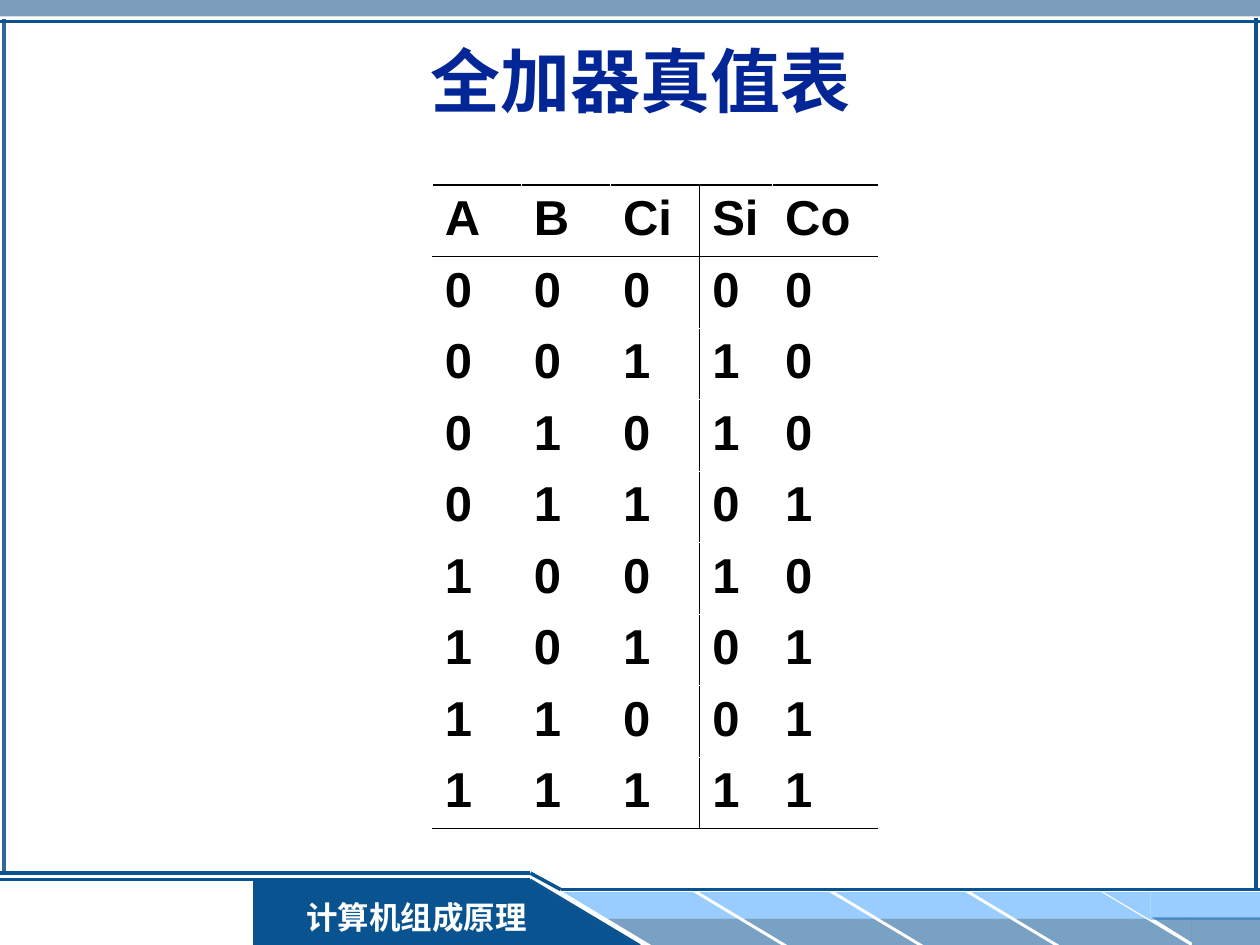
import dataclasses
import itertools

import lxml.etree
import pptx
import pptx.dml.color
import pptx.enum.shapes
import pptx.enum.text
import pptx.oxml.ns
import pptx.util

Inches = pptx.util.Inches
Pt = pptx.util.Pt
qn = pptx.oxml.ns.qn
SHAPE = pptx.enum.shapes.MSO_SHAPE
ALIGN = pptx.enum.text.PP_ALIGN
ANCHOR = pptx.enum.text.MSO_ANCHOR


@dataclasses.dataclass(frozen=True)
class Theme:
    steel: str = "336699"
    navy: str = "095391"
    sky: str = "99CCFF"
    title: str = "032697"
    white: str = "FFFFFF"
    black: str = "000000"
    heading_font: str = "Arial"
    course_font: str = "Times New Roman"
    title_size: int = 40
    table_size: int = 28
    course_size: int = 18
    frame_line: float = 2
    table_rule: float = 1.08
    table_hairline: float = 0.45


THEME = Theme()


def rgb(color):
    return pptx.dml.color.RGBColor.from_string(color)


def write_text(frame, text, *, size, font, color, align=ALIGN.LEFT,
               anchor=ANCHOR.TOP, space_before=0):
    frame.word_wrap = True
    frame.vertical_anchor = anchor
    paragraph = frame.paragraphs[0]
    paragraph.alignment = align
    paragraph.space_before = Pt(space_before)
    run = paragraph.add_run()
    run.text = text
    run.font.size = Pt(size)
    run.font.name = font
    run.font.bold = True
    run.font.color.rgb = rgb(color)


def add_block(slide, preset, left, top, width, height, color, opacity=100):
    block = slide.shapes.add_shape(
        preset, Inches(left), Inches(top), Inches(width), Inches(height))
    block.shadow.inherit = False
    block.line.fill.background()
    block.fill.solid()
    block.fill.fore_color.rgb = rgb(color)
    if opacity < 100:
        tint = block.fill._xPr.find(".//" + qn("a:srgbClr"))
        lxml.etree.SubElement(tint, qn("a:alpha"), val=str(opacity * 1000))
    return block


def add_rule(slide, start, end, color=THEME.navy, width=THEME.frame_line):
    rule = slide.shapes.add_connector(
        pptx.enum.shapes.MSO_CONNECTOR.STRAIGHT,
        *(Inches(value) for value in (*start, *end)))
    rule.line.color.rgb = rgb(color)
    rule.line.width = Pt(width)
    lxml.etree.SubElement(rule._element.spPr, qn("a:effectLst"))


def add_frame(slide, left, top, width, height):
    """Draw the top band and the rules at the top and both sides."""
    right = left + width
    add_block(slide, SHAPE.RECTANGLE, left, top, width, 0.13, THEME.steel, 63)
    add_rule(slide, (left + 0.03, top + 0.15), (left + 0.03, top + height - 0.14),
             THEME.steel)
    add_rule(slide, (left, top + 0.17), (right, top + 0.17))
    add_rule(slide, (right - 0.03, top + 0.14), (right - 0.03, top + height))


def add_slanted_tiles(slide, left, top):
    """Draw two rows of tiles that lean along the slope of the course tab."""
    pitch, width, height, slant = 1.08, 1.38, 0.21, 0.35
    rows = ((THEME.sky, 100), (THEME.navy, 54))
    for column, (row, (color, opacity)) in itertools.product(
            range(4), enumerate(rows)):
        tile = add_block(slide, SHAPE.PARALLELOGRAM,
                         left + column * pitch + row * slant,
                         top + row * height, width, height, color, opacity)
        tile.adjustments[0] = slant / height
        tile._element.spPr.xfrm.set("flipH", "1")


def add_footer(slide, left, top, width, height, course):
    right, bottom = left + width, top + height
    shelf, tab_top = top + 0.13, top + 0.05
    slope_start, slope_end = left + 4.21, left + 4.45

    add_block(slide, SHAPE.RECTANGLE, left + 2.01, tab_top, 2.2, 0.52, THEME.navy)
    add_rule(slide, (left + 5.08, bottom), (slope_start, tab_top), width=1)
    add_rule(slide, (slope_start, tab_top), (left, tab_top), width=1.5)
    add_rule(slide, (left, top), (slope_start, top))

    add_slanted_tiles(slide, left + 4.47, top + 0.15)
    for offset, drop, triangle, rise, color, opacity in (
            (9.13, 0.15, 0.37, 0.22, THEME.sky, 100),
            (9.46, 0.35, 0.32, 0.2, THEME.navy, 54)):
        edge = left + offset
        add_block(slide, SHAPE.RECTANGLE, edge, top + drop, right - edge, 0.22,
                  color, opacity)
        corner = add_block(slide, SHAPE.RIGHT_TRIANGLE, edge - triangle,
                           top + drop, triangle, rise, color, opacity)
        corner.rotation = 180

    add_rule(slide, (slope_end, shelf), (right, shelf))
    label = add_block(slide, SHAPE.RECTANGLE, left + 2.28, top + 0.15, 2.05, 0.4,
                      THEME.navy)
    write_text(label.text_frame, course, size=THEME.course_size,
               font=THEME.course_font, color=THEME.white, align=ALIGN.CENTER,
               space_before=11.2)
    add_block(slide, SHAPE.RIGHT_TRIANGLE, left + 4.2, tab_top, 0.87, 0.52,
              THEME.navy)
    add_rule(slide, (slope_start, top), (slope_end, shelf))


def add_title(slide, left, top, width, height, text):
    title = slide.shapes.add_textbox(
        Inches(left), Inches(top), Inches(width), Inches(height))
    write_text(title.text_frame, text, size=THEME.title_size,
               font=THEME.heading_font, color=THEME.title, align=ALIGN.CENTER,
               anchor=ANCHOR.MIDDLE)


def set_border(cell, side, color, width):
    edge = lxml.etree.SubElement(
        cell._tc.get_or_add_tcPr(), qn(f"a:ln{side}"), w=str(Pt(width)))
    fill = lxml.etree.SubElement(edge, qn("a:solidFill"))
    lxml.etree.SubElement(fill, qn("a:srgbClr"), val=color)


def full_adder_rows():
    yield "A", "B", "Ci", "Si", "Co"
    for bits in itertools.product((0, 1), repeat=3):
        carry, total = divmod(sum(bits), 2)
        yield *bits, total, carry


def add_truth_table(slide, left, top, width, height):
    rows = list(full_adder_rows())
    shares = (0.71, 0.71, 0.71, 0.58, 0.84)
    last_input, last_row = 2, len(rows) - 1
    table = slide.shapes.add_table(
        len(rows), len(shares), Inches(left), Inches(top),
        Inches(width), Inches(height)).table
    table.first_row = table.horz_banding = False
    for column, share in zip(table.columns, shares):
        column.width = Inches(width * share / sum(shares))

    plain = (THEME.white, THEME.table_hairline)
    thin = (THEME.black, THEME.table_hairline)
    thick = (THEME.black, THEME.table_rule)
    for r, row in enumerate(rows):
        for c, value in enumerate(row):
            cell = table.cell(r, c)
            write_text(cell.text_frame, str(value), size=THEME.table_size,
                       font=THEME.heading_font, color=THEME.black,
                       space_before=7)
            set_border(cell, "L", *(thin if c == last_input + 1 else plain))
            set_border(cell, "R", *(thin if c == last_input else plain))
            set_border(cell, "T", *{0: thick, 1: thin}.get(r, plain))
            set_border(cell, "B", *{0: thin, last_row: thick}.get(r, plain))
            cell.fill.background()


def main():
    deck = pptx.Presentation()
    deck.slide_width, deck.slide_height = Inches(10), Inches(7.5)
    slide = deck.slides.add_slide(deck.slide_layouts[6])
    add_frame(slide, 0, 0, 10, 7.07)
    add_footer(slide, 0, 6.93, 10, 0.57, "计算机组成原理")
    add_title(slide, 0.35, 0.28, 9.47, 0.71, "全加器真值表")
    add_truth_table(slide, 3.43, 1.47, 3.54, 5.1)
    deck.save("out.pptx")


if __name__ == "__main__":
    main()
